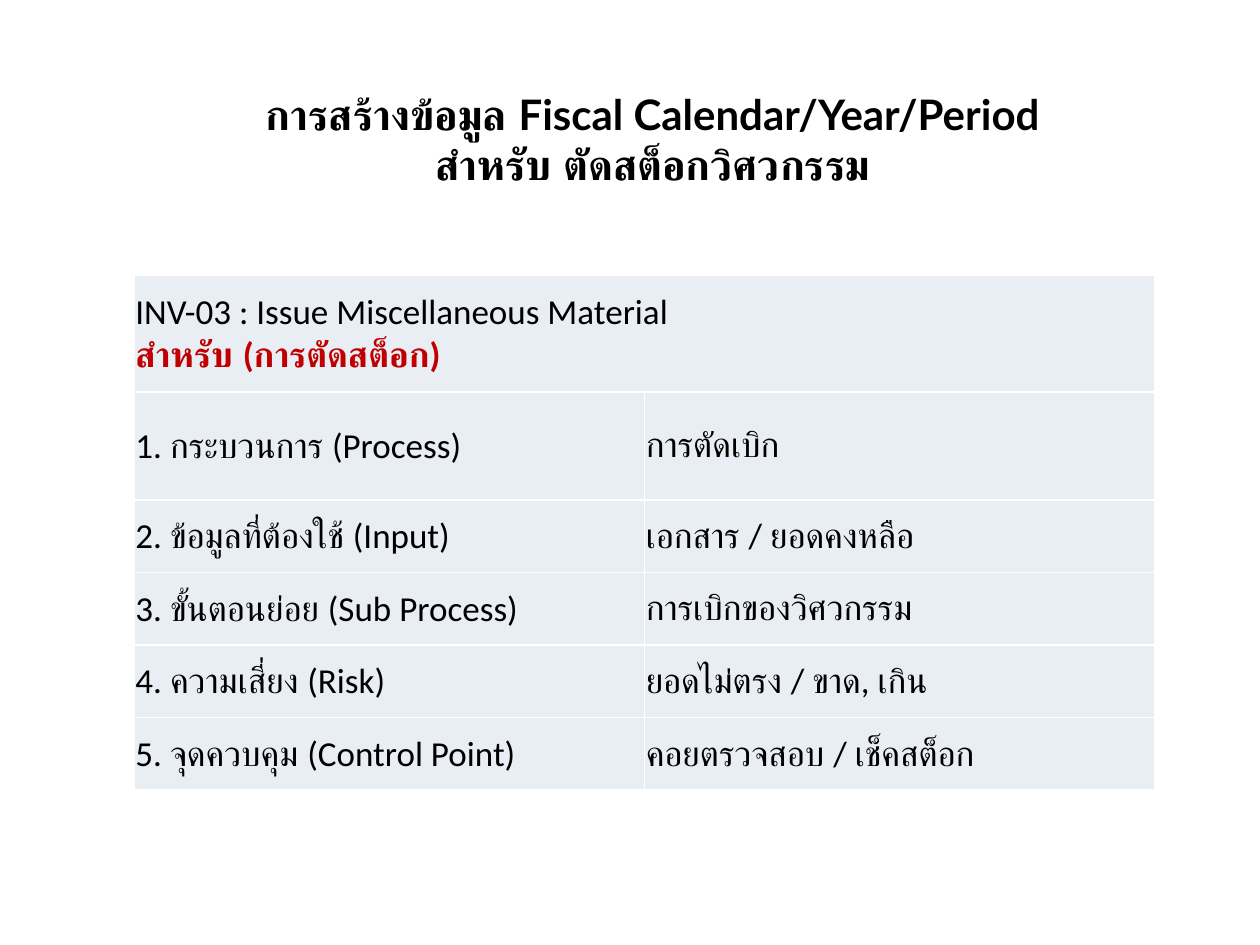
from dataclasses import dataclass

from lxml.etree import SubElement
from pptx import Presentation
from pptx.dml.color import RGBColor as Rgb
from pptx.enum.text import MSO_ANCHOR as Anchor, MSO_AUTO_SIZE as AutoSize, PP_ALIGN as Align
from pptx.oxml.ns import qn
from pptx.util import Cm, Pt


@dataclass(frozen=True)
class Theme:
    ink: str = "000000"
    accent: str = "C00000"
    cell: str = "E9EDF4"
    rule: str = "FFFFFF"
    title_font: str = "Lato"
    body_font: str = "Calibri"
    title_size: int = 24
    body_size: int = 20
    rule_width: int = 1


class SlideBuilder:
    def __init__(self, slide, theme):
        self.slide = slide
        self.theme = theme

    def add_run(self, paragraph, text, font_name, size, color, bold=False):
        run = paragraph.add_run()
        run.text = text
        font = run.font
        font.name, font.size, font.bold = font_name, Pt(size), bold
        font.color.rgb = Rgb.from_string(color)

    def title(self, lines, left, top, width, height):
        theme = self.theme
        heading = self.slide.shapes.title
        heading.left, heading.top = Cm(left), Cm(top)
        heading.width, heading.height = Cm(width), Cm(height)
        frame = heading.text_frame
        frame.word_wrap = False
        frame.auto_size = AutoSize.NONE
        frame.vertical_anchor = Anchor.MIDDLE
        paragraph = frame.paragraphs[0]
        paragraph.alignment = Align.CENTER
        for index, line in enumerate(lines):
            if index:
                paragraph.add_line_break()
            self.add_run(paragraph, line, theme.title_font, theme.title_size, theme.ink, True)

    def border(self, cell):
        properties = cell._tc.get_or_add_tcPr()
        for side in ("lnL", "lnR", "lnT", "lnB"):
            line = SubElement(properties, qn(f"a:{side}"), w=str(Pt(self.theme.rule_width)))
            fill = SubElement(line, qn("a:solidFill"))
            SubElement(fill, qn("a:srgbClr"), val=self.theme.rule)

    def cell(self, cell, lines):
        """Style a cell and write its (text, color, bold) lines as paragraphs."""
        theme = self.theme
        self.border(cell)
        cell.fill.solid()
        cell.fill.fore_color.rgb = Rgb.from_string(theme.cell)
        cell.vertical_anchor = Anchor.MIDDLE
        cell.margin_left = cell.margin_right = cell.margin_top = Cm(0.03)
        cell.margin_bottom = 0
        frame = cell.text_frame
        for index, (text, color, bold) in enumerate(lines):
            paragraph = frame.add_paragraph() if index else frame.paragraphs[0]
            self.add_run(paragraph, text, theme.body_font, theme.body_size, color, bold)

    def table(self, header, rows, left, top, column_width, row_heights):
        """Add a two-column table whose header spans both columns."""
        frame = self.slide.shapes.add_table(
            len(row_heights), 2, Cm(left), Cm(top),
            Cm(2 * column_width), Cm(sum(row_heights)))
        table = frame.table
        table.first_row = table.horz_banding = False
        for column in table.columns:
            column.width = Cm(column_width)
        for row, height in zip(table.rows, row_heights):
            row.height = Cm(height)
        table.cell(0, 0).merge(table.cell(0, 1))
        self.cell(table.cell(0, 0), header)
        self.cell(table.cell(0, 1), [])
        for row_index, row in enumerate(rows, start=1):
            for column_index, text in enumerate(row):
                self.cell(table.cell(row_index, column_index), [(text, self.theme.ink, False)])


def main():
    deck = Presentation()
    deck.slide_width, deck.slide_height = Cm(25.4), Cm(19.05)
    title_only = deck.slide_layouts[5]
    theme = Theme()
    builder = SlideBuilder(deck.slides.add_slide(title_only), theme)

    builder.title(
        ["การสร้างข้อมูล Fiscal Calendar/Year/Period", "สำหรับ ตัดสต็อกวิศวกรรม"],
        left=4.22, top=2.16, width=17.88, height=1.27)

    process_header = [
        ("INV-03 : Issue Miscellaneous Material", theme.ink, False),
        ("สำหรับ (การตัดสต็อก)", theme.accent, True),
    ]
    process_details = [
        ("1. กระบวนการ (Process)", "การตัดเบิก"),
        ("2. ข้อมูลที่ต้องใช้ (Input)", "เอกสาร / ยอดคงหลือ"),
        ("3. ขั้นตอนย่อย (Sub Process)", "การเบิกของวิศวกรรม"),
        ("4. ความเสี่ยง (Risk)", "ยอดไม่ตรง / ขาด, เกิน"),
        ("5. จุดควบคุม (Control Point)", "คอยตรวจสอบ / เช็คสต็อก"),
    ]
    builder.table(process_header, process_details, left=2.7, top=5.54,
                  column_width=10.29, row_heights=[2.36, 2.18] + [1.46] * 4)

    deck.save("out.pptx")


if __name__ == "__main__":
    main()
